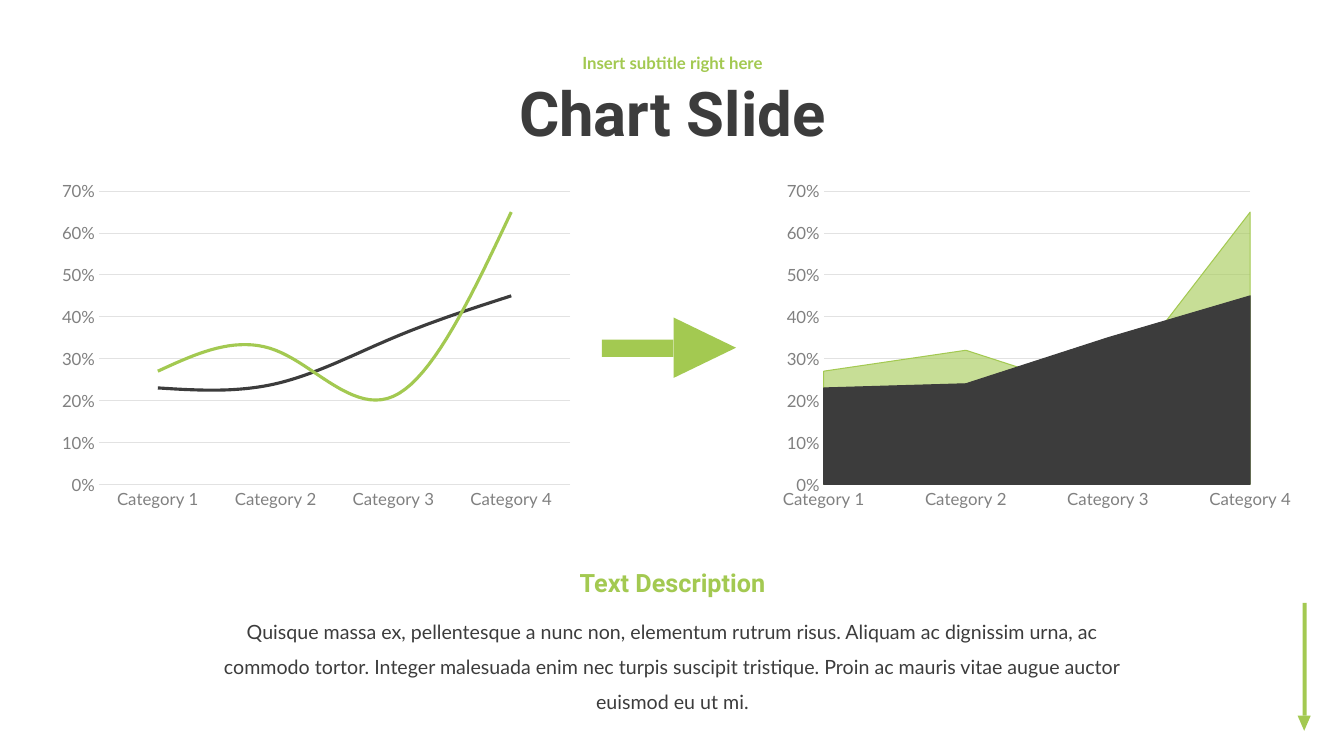
from lxml import etree
from pptx import Presentation
from pptx.chart.data import CategoryChartData as ChartData
from pptx.dml.color import RGBColor
from pptx.enum.chart import XL_CHART_TYPE as Kind, XL_TICK_MARK as Tick
from pptx.enum.shapes import MSO_SHAPE as Shape
from pptx.enum.text import MSO_ANCHOR as Anchor, PP_ALIGN as Align
from pptx.oxml.ns import qn
from pptx.util import Inches, Pt

GREEN, DARK, GRAY, PALE = "A3C951", "3C3C3C", "808080", "E2E2E2"
CATS = [f"Category {n}" for n in range(1, 5)]
SERIES = [
    ("Series 1", (0.23, 0.24, 0.35, 0.45), DARK),
    ("Series 2", (0.27, 0.32, 0.21, 0.65), GREEN),
]
BODY = (
    "Quisque massa ex, pellentesque a nunc non, elementum rutrum risus. "
    "Aliquam ac dignissim urna, ac commodo tortor. Integer malesuada enim nec "
    "turpis suscipit tristique. Proin ac mauris vitae augue auctor euismod eu ut mi."
)


def color(code):
    return RGBColor.from_string(code)


def paint(fill, code, alpha=100):
    fill.solid()
    fill.fore_color.rgb = color(code)
    return alpha


def style(font, size, code, name="Lato", bold=False):
    font.size, font.name, font.bold = Pt(size), name, bold
    font.color.rgb = color(code)


def stroke(line, code, width):
    line.color.rgb = color(code)
    line.width = Pt(width)


def place(shape, box):
    shape.left, shape.top, shape.width, shape.height = map(Inches, box)


def write(shape, text, size, code, name="Lato", bold=False, space=1.0,
          anchor=Anchor.TOP):
    frame = shape.text_frame
    frame.word_wrap = True
    frame.vertical_anchor = anchor
    para = frame.paragraphs[0]
    para.alignment = Align.CENTER
    para.line_spacing = space
    para.space_before = Pt(0)
    run = para.add_run()
    run.text = text
    style(run.font, size, code, name, bold)


def add_text(slide, box, text, **form):
    write(slide.shapes.add_textbox(*map(Inches, box)), text, **form)


def add_solid(slide, kind, box, turn=0):
    shape = slide.shapes.add_shape(kind, *map(Inches, box))
    shape.rotation = turn
    shape.shadow.inherit = False
    paint(shape.fill, GREEN)
    shape.line.fill.background()


def fade(series, percent):
    """Make the solid fill of a series partly transparent."""
    tone = series.format.fill.fore_color
    tone.rgb = tone.rgb
    node = series.format.fill._xPr.find(qn("a:solidFill"))[0]
    etree.SubElement(node, qn("a:alpha")).set("val", str(percent * 1000))


def format_axes(chart):
    cat, val = chart.category_axis, chart.value_axis
    for axis in (cat, val):
        axis.major_tick_mark = axis.minor_tick_mark = Tick.NONE
        style(axis.tick_labels.font, 12, GRAY)
    cat.has_major_gridlines = False
    stroke(cat.format.line, PALE, 0.75)
    val.format.line.fill.background()
    val.has_major_gridlines = True
    stroke(val.major_gridlines.format.line, PALE, 0.75)
    val.minimum_scale, val.maximum_scale, val.major_unit = 0, 0.7, 0.1
    val.tick_labels.number_format = "0%"
    val.tick_labels.number_format_is_linked = False


def add_graph(slide, kind, left, width):
    data = ChartData(number_format="0%")
    data.categories = CATS
    for name, vals, _ in SERIES:
        data.add_series(name, vals)
    box = map(Inches, (left, 1.73, 5.25, 3.38))
    chart = slide.shapes.add_chart(kind, *box, data).chart
    chart.has_legend = chart.has_title = False
    style(chart.font, 10, DARK)
    format_axes(chart)
    plot = chart.plots[0]
    plot.vary_by_categories = False
    for series, (_, _, code) in zip(plot.series, SERIES):
        stroke(series.format.line, code, width)
        if kind == Kind.LINE:
            series.smooth = True
        else:
            paint(series.format.fill, code)
    return plot


def main():
    deck = Presentation()
    deck.slide_width, deck.slide_height = Inches(13.33), Inches(7.5)
    slide = deck.slides.add_slide(deck.slide_layouts[0])
    title, sub = slide.placeholders
    place(title, (2.92, 0.64, 7.5, 1.03))
    write(title, "Chart Slide", 44, DARK, name="Roboto", bold=True,
          space=0.9, anchor=Anchor.MIDDLE)
    place(sub, (2.92, 0.45, 7.5, 0.38))
    write(sub, "Insert subtitle right here", 12, GREEN, bold=True,
          space=0.9, anchor=Anchor.MIDDLE)

    add_graph(slide, Kind.LINE, 0.51, 2.25)
    area = add_graph(slide, Kind.AREA, 7.66, 0.75)
    fade(area.series[1], 60)

    add_solid(slide, Shape.RECTANGLE, (5.97, 3.37, 0.71, 0.17))
    add_solid(slide, Shape.ISOSCELES_TRIANGLE, (6.69, 3.14, 0.6, 0.62), turn=90)
    add_solid(slide, Shape.RECTANGLE, (12.92, 5.98, 0.04, 1.12))
    add_solid(slide, Shape.ISOSCELES_TRIANGLE, (12.87, 7.1, 0.13, 0.15), turn=180)

    add_text(slide, (5.21, 5.58, 2.92, 0.4), "Text Description",
             size=18, code=GREEN, name="Roboto", bold=True)
    add_text(slide, (1.92, 5.98, 9.5, 0.77), BODY, size=14, code=DARK, space=1.5)
    deck.save("out.pptx")


if __name__ == "__main__":
    main()
